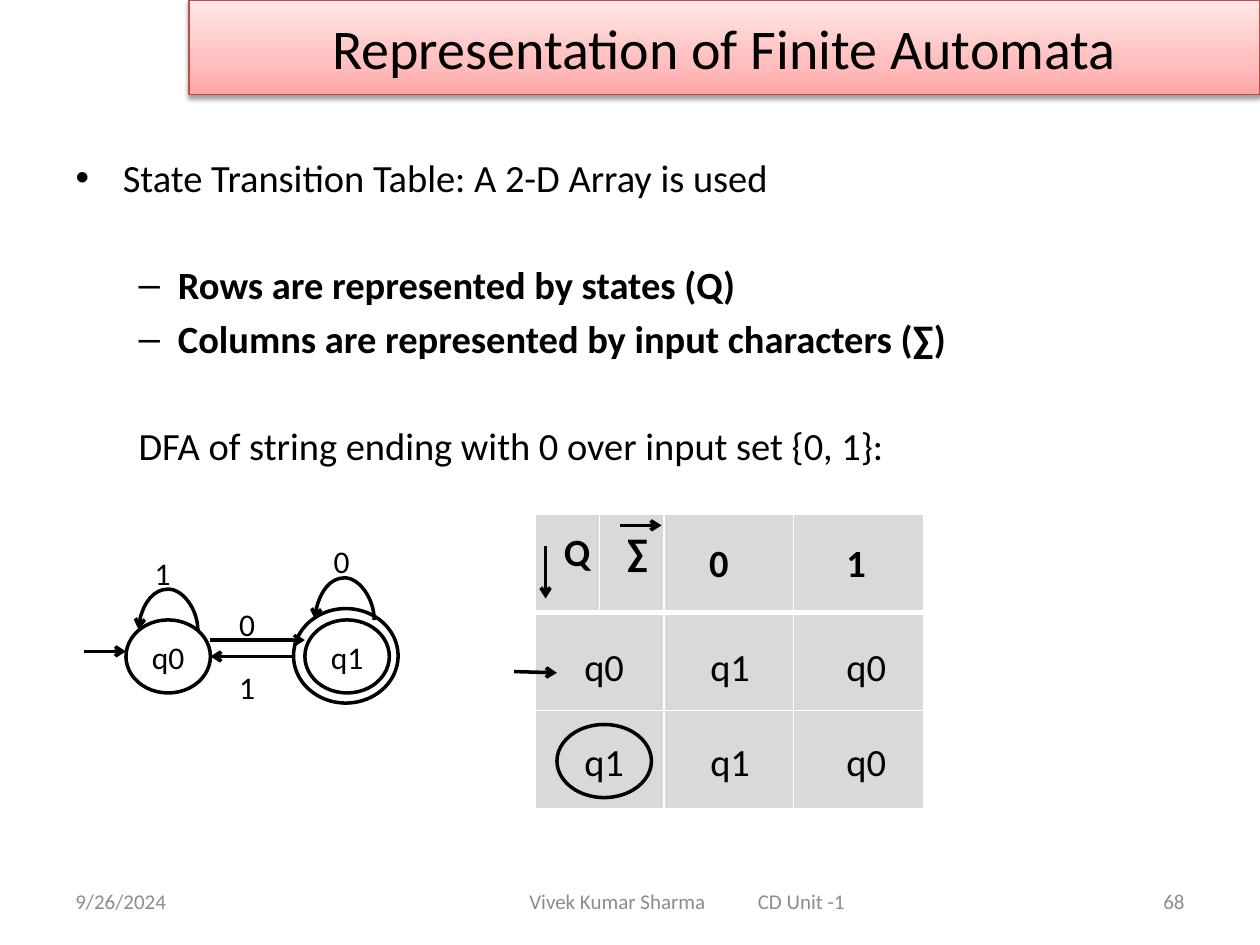
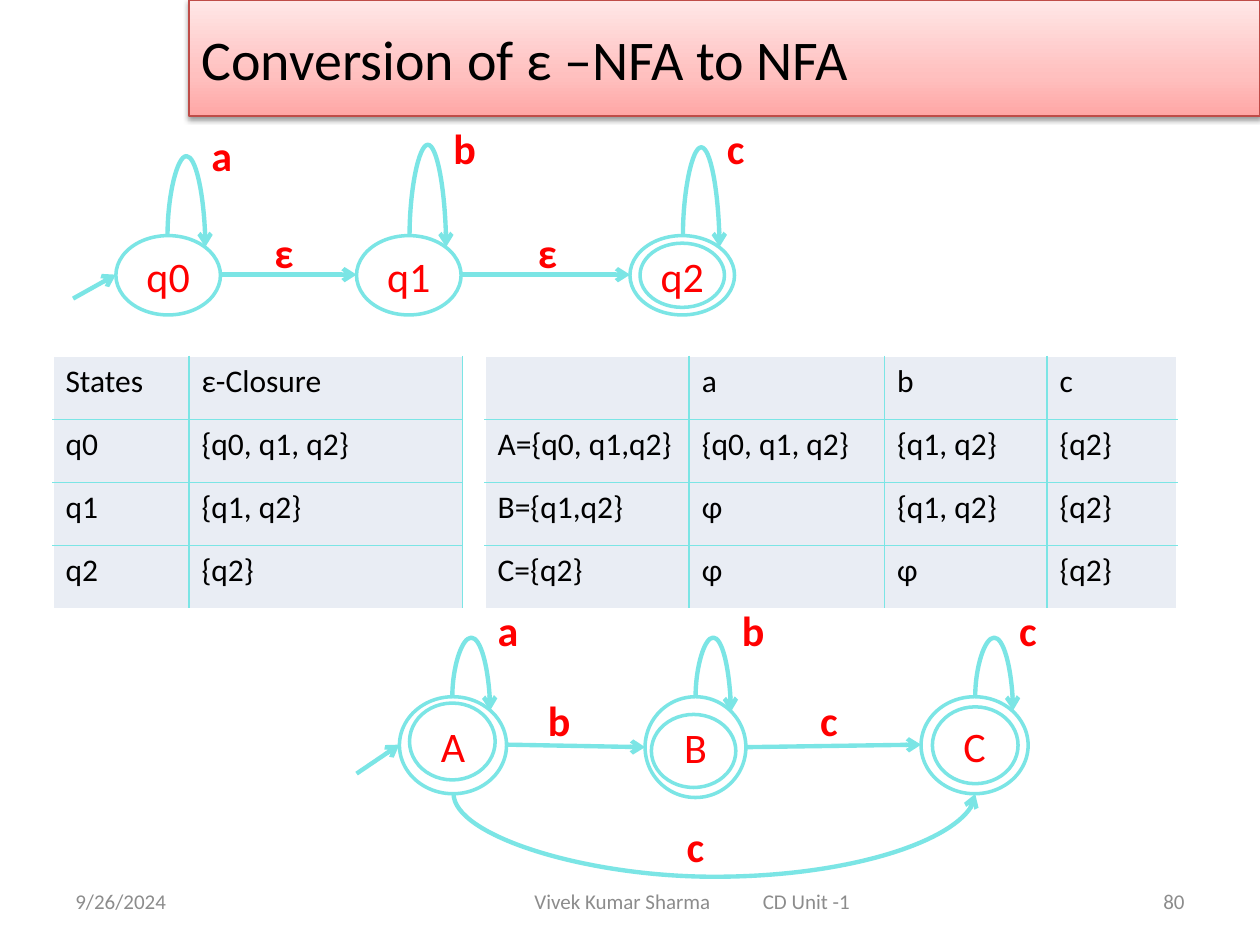
from lxml import etree
from pptx import Presentation
from pptx import util as u
from pptx.dml.color import RGBColor
from pptx.enum import shapes, text
from pptx.oxml import ns

FONT = "Calibri"
BLACK, GREY, RED, AQUA = "000000", "8C8C8C", "FF0000", "7BE5E5"
WHITE, CELL_GREY, CELL_BLUE = "FFFFFF", "D9D9D9", "E9EDF4"
BAND_STOPS = [(0, "FFA6A5"), (35, "FFC0BF"), (100, "FFE7E7")]
BAND_LINE = "BF4C48"
LEFT, CENTER, RIGHT = text.PP_ALIGN.LEFT, text.PP_ALIGN.CENTER, text.PP_ALIGN.RIGHT
MIDDLE, TOP = text.MSO_ANCHOR.MIDDLE, text.MSO_ANCHOR.TOP

DATE, AUTHOR, UNIT = "9/26/2024", "Vivek Kumar Sharma", "CD Unit -1"

BODY = [
    ("State Transition Table: A 2-D Array is used", 0, False, True, 0),
    ("Rows are represented by states (Q)", 1, True, True, 35),
    ("Columns are represented by input characters (∑)", 1, True, True, 4.4),
    ("DFA of string ending with 0 over input set {0, 1}:", 1, False, False, 35),
]
DFA_STATES = [("q0", 1, 4.92, 0.67, 0.58), ("q1", 2.42, 4.92, 0.67, 0.58),
              ("", 2.33, 4.83, 0.83, 0.75)]
DFA_ARROWS = [(0.67, 5.17, 1, 5.17), (1.67, 5.08, 2.42, 5.08), (2.33, 5.21, 1.67, 5.21)]
DFA_LOOPS = [(1.57, 5, 1.1, 5, 4.67), (2.97, 4.92, 2.5, 4.92, 4.58)]
DFA_INPUTS = [("0", 2.5, 4.33), ("1", 1.75, 5.33), ("1", 1.08, 4.42), ("0", 1.75, 4.83)]

TRANSITION_COLS = [0.51, 0.51, 1.03, 1.03]
TRANSITION_HEAD = [("Q", 4.33, 4.08, 0.33), ("∑", 4.83, 4.08, 0.33),
                   ("0", 5.33, 4.17, 0.75), ("1", 6.42, 4.17, 0.75)]
TRANSITION_ROWS = [(5, ["q0", "q1", "q0"]), (5.75, ["q1", "q1", "q0"])]
TRANSITION_X = [4.42, 5.42, 6.5]
TRANSITION_ARROWS = [(4.08, 5.33, 4.42, 5.34), (4.33, 4.33, 4.33, 4.75),
                     (4.92, 4.17, 5.25, 4.17)]

EPSILON_NFA = dict(
    states=[("q0", 0.92, 1.87, 0.83, 0.63), ("q1", 2.83, 1.87, 0.83, 0.63),
            ("q2", 5, 1.87, 0.83, 0.63), ("", 5.08, 1.93, 0.67, 0.51)],
    arrows=[(0.58, 2.37, 0.92, 2.18), (1.75, 2.18, 2.83, 2.18), (3.67, 2.18, 5, 2.18)],
    loops=[(1.33, 1.87, 1.63, 1.96, 1.24), (3.25, 1.87, 3.54, 1.96, 1.15),
           (5.42, 1.87, 5.71, 1.96, 1.17)],
    inputs=[("ε", 2.08, 1.75), ("ε", 4.17, 1.75), ("a", 1.58, 0.98),
            ("b", 3.5, 0.92), ("c", 5.67, 0.92)])
NFA = dict(
    states=[("A", 3.17, 5.53, 0.85, 0.77), ("B", 5.12, 5.53, 0.8, 0.8),
            ("C", 7.31, 5.53, 0.85, 0.77), ("", 3.25, 5.58, 0.68, 0.61),
            ("", 5.17, 5.67, 0.67, 0.58), ("", 7.4, 5.61, 0.68, 0.61)],
    arrows=[(2.83, 6.14, 3.17, 5.91), (4.02, 5.91, 5.12, 5.93), (5.92, 5.93, 7.31, 5.91)],
    loops=[(3.59, 5.53, 3.89, 5.64, 5.06), (5.52, 5.53, 5.8, 5.65, 5.06),
           (7.74, 5.53, 8.04, 5.64, 5.06), (3.6, 6.3, 7.74, 6.3, 6.97)],
    inputs=[("b", 4.25, 5.46), ("c", 6.41, 5.46), ("a", 3.85, 4.75),
            ("b", 5.79, 4.75), ("c", 7.99, 4.75), ("c", 5.35, 6.46)])

CLOSURE_COLS = [1.08, 2.17]
CLOSURE = [["States", "ε-Closure"], ["q0", "{q0, q1, q2}"], ["q1", "{q1, q2}"], ["q2", "{q2}"]]
NFA_COLS = [1.62, 1.55, 1.29, 1.03]
NFA_MOVES = [["", "a", "b", "c"],
             ["A={q0, q1,q2}", "{q0, q1, q2}", "{q1, q2}", "{q2}"],
             ["B={q1,q2}", "φ", "{q1, q2}", "{q2}"],
             ["C={q2}", "φ", "φ", "{q2}"]]


def rgb(value):
    return RGBColor.from_string(value)


def inches(*values):
    return [u.Inches(v) for v in values]


def sub(parent, tag, **attrs):
    el = etree.SubElement(parent, ns.qn(tag))
    for key, value in attrs.items():
        el.set(key, str(value))
    return el


def add_run(p, words, size, color=BLACK, bold=False):
    r = p.add_run()
    r.text = words
    r.font.name, r.font.size, r.font.bold = FONT, u.Pt(size), bold
    r.font.color.rgb = rgb(color)


def write(tf, words, size, color=BLACK, bold=False, align=CENTER, anchor=MIDDLE):
    tf.word_wrap = True
    tf.vertical_anchor = anchor
    p = tf.paragraphs[0]
    p.alignment = align
    add_run(p, words, size, color, bold)


def label(parts, words, x, y, w, h, size, **style):
    box = parts.add_textbox(*inches(x, y, w, h))
    write(box.text_frame, words, size, **style)


def oval(parts, words, x, y, w, h, size, line=None, color=BLACK, bold=False):
    sp = parts.add_shape(shapes.MSO_SHAPE.OVAL, *inches(x, y, w, h))
    sp.shadow.inherit = False
    sp.fill.background()
    if line:
        sp.line.color.rgb = rgb(line)
        sp.line.width = u.Pt(2)
    else:
        sp.line.fill.background()
    if words:
        write(sp.text_frame, words, size, color, bold)


def finish_arrow(cx, color, width):
    cx.line.color.rgb = rgb(color)
    cx.line.width = u.Pt(width)
    sub(cx.line._get_or_add_ln(), "a:tailEnd", type="arrow")
    sub(cx._element.spPr, "a:effectLst")


def arrow(parts, ends, color, width):
    cx = parts.add_connector(shapes.MSO_CONNECTOR.STRAIGHT, *inches(*ends))
    finish_arrow(cx, color, width)


def loop(parts, x1, y1, x2, y2, apex, color, width):
    across, down = abs(x2 - x1), max(abs(y2 - y1), 0.002)
    mid_x, mid_y = (x1 + x2) / 2, (y1 + y2) / 2
    cx = parts.add_connector(shapes.MSO_CONNECTOR.CURVE, *inches(
        mid_x - down / 2, mid_y - across / 2, mid_x + down / 2, mid_y + across / 2))
    rightward = x2 > x1
    bend = (apex - y1 if rightward else y1 - apex) / down
    spPr = cx._element.spPr
    xfrm = spPr.find(ns.qn("a:xfrm"))
    xfrm.set("rot", str(270 * 60000))
    xfrm.set("flipH" if rightward else "flipV", "1")
    av = spPr.find(ns.qn("a:prstGeom")).find(ns.qn("a:avLst"))
    sub(av, "a:gd", name="adj1", fmla=f"val {round(bend * 100000)}")
    finish_arrow(cx, color, width)


def border(cell, sides):
    tcPr = cell._tc.get_or_add_tcPr()
    ordered = [side for side in "LRTB" if side in sides]
    for i, side in enumerate(ordered):
        color, width = sides[side]
        ln = sub(tcPr, f"a:ln{side}", w=u.Pt(width))
        sub(sub(ln, "a:solidFill"), "a:srgbClr", val=color)
        tcPr.insert(i, ln)


def add_table(s, x, y, cols, heights, fill, sides_at, rows=None):
    frame = s.shapes.add_table(len(heights), len(cols),
                               *inches(x, y, sum(cols), sum(heights)))
    table = frame.table
    for col, width in zip(table.columns, cols):
        col.width = u.Inches(width)
    for i, height in enumerate(heights):
        table.rows[i].height = u.Inches(height)
        for j in range(len(cols)):
            cell = table.cell(i, j)
            cell.fill.solid()
            cell.fill.fore_color.rgb = rgb(fill)
            border(cell, sides_at(i, j))
            if rows and rows[i][j]:
                add_run(cell.text_frame.paragraphs[0], rows[i][j], 18)
    return table


def add_band(s, title, height, align):
    sp = s.shapes.title
    sp.left, sp.top, sp.width, sp.height = inches(1.5, 0, 8.5, height)
    write(sp.text_frame, title, 32, align=align)
    sp.text_frame.auto_size = text.MSO_AUTO_SIZE.NONE
    spPr = sp._element.spPr
    sub(spPr, "a:prstGeom", prst="rect")
    grad = sub(spPr, "a:gradFill", rotWithShape=1)
    stops = sub(grad, "a:gsLst")
    for pos, color in BAND_STOPS:
        sub(sub(stops, "a:gs", pos=pos * 1000), "a:srgbClr", val=color)
    sub(grad, "a:lin", ang=270 * 60000, scaled=0)
    sp.line.color.rgb = rgb(BAND_LINE)
    sp.line.width = u.Pt(0.75)
    shadow = sub(sub(spPr, "a:effectLst"), "a:outerShdw", blurRad=u.Pt(3.1),
                 dist=u.Pt(1.6), dir=90 * 60000, rotWithShape=0)
    sub(sub(shadow, "a:srgbClr", val=BLACK), "a:alpha", val=38000)


def add_footer(s, number, center):
    for words, x, w, align in [(DATE, 0.5, 2.33, LEFT),
                               (AUTHOR, center - 1.56, 2, CENTER),
                               (UNIT, center + 0.4, 1, CENTER),
                               (number, 7.17, 2.33, RIGHT)]:
        label(s.shapes, words, x, 6.95, w, 0.4, 12, color=GREY, align=align)


def new_slide(prs, layout, title, band_height, align, number, footer_center):
    s = prs.slides.add_slide(prs.slide_layouts[layout])
    add_band(s, title, band_height, align)
    add_footer(s, number, footer_center)
    return s


def add_body(s):
    sp = s.placeholders[1]
    sp.left, sp.top, sp.width, sp.height = inches(0.5, 1.17, 9, 5.53)
    tf = sp.text_frame
    tf.auto_size = text.MSO_AUTO_SIZE.NONE
    for i, (words, level, bold, bullet, before) in enumerate(BODY):
        p = tf.add_paragraph() if i else tf.paragraphs[0]
        p.level = level
        p.space_before = u.Pt(before)
        if not bullet:
            sub(p._p.get_or_add_pPr(), "a:buNone")
        add_run(p, words, 22, bold=bold)


def header_ruled(i, j):
    sides = dict.fromkeys("LRTB", (WHITE, 1))
    if i < 2:
        sides["T" if i else "B"] = (WHITE, 3)
    return sides


def inner_ruled(n_rows, n_cols, right_edge=False):
    def sides_at(i, j):
        shown = {"L": j > 0, "R": j < n_cols - 1 or right_edge,
                 "T": i > 0, "B": i < n_rows - 1}
        return {side: (AQUA, 1) for side, on in shown.items() if on}
    return sides_at


def representation_slide(prs):
    s = new_slide(prs, 1, "Representation of Finite Automata", 0.75, CENTER, "68", 5.46)
    add_body(s)
    parts = s.shapes
    table = add_table(s, 4.25, 4.08, TRANSITION_COLS, [0.78] * 3, CELL_GREY, header_ruled)
    for i in (1, 2):
        table.cell(i, 0).merge(table.cell(i, 1))
    for state in DFA_STATES:
        oval(parts, *state, 18, line=BLACK)
    for ends in DFA_ARROWS + TRANSITION_ARROWS:
        arrow(parts, ends, BLACK, 2)
    for curve in DFA_LOOPS:
        loop(parts, *curve, BLACK, 2)
    for words, x, y in DFA_INPUTS:
        label(parts, words, x, y, 0.42, 0.25, 18)
    for words, x, y, w in TRANSITION_HEAD:
        oval(parts, words, x, y, w, 0.58, 22, bold=True)
    for y, row in TRANSITION_ROWS:
        for j, (words, x) in enumerate(zip(row, TRANSITION_X)):
            final = words == "q1" and j == 0
            oval(parts, words, x, y, 0.75, 0.58, 22, line=BLACK if final else None)


def add_automaton(s, states, arrows, loops, inputs):
    parts = s.shapes.add_group_shape().shapes
    for ends in arrows:
        arrow(parts, ends, AQUA, 2.5)
    for curve in loops:
        loop(parts, *curve, AQUA, 2.5)
    for state in states:
        oval(parts, *state, 24, line=AQUA, color=RED)
    for words, x, y in inputs:
        label(parts, words, x, y, 0.58, 0.46, 24, color=RED, bold=True,
              align=LEFT, anchor=TOP)


def conversion_slide(prs):
    s = new_slide(prs, 5, "Conversion of ε –NFA to NFA", 0.92, LEFT, "80", 5.5)
    add_automaton(s, **EPSILON_NFA)
    for x, cols, rows, edge in [(0.42, CLOSURE_COLS, CLOSURE, True),
                                (3.85, NFA_COLS, NFA_MOVES, False)]:
        add_table(s, x, 2.83, cols, [0.5] * len(rows), CELL_BLUE,
                  inner_ruled(len(rows), len(cols), edge), rows)
    add_automaton(s, **NFA)


def main():
    prs = Presentation()
    prs.slide_width, prs.slide_height = inches(10, 7.5)
    representation_slide(prs)
    conversion_slide(prs)
    prs.save("out.pptx")


if __name__ == "__main__":
    main()
